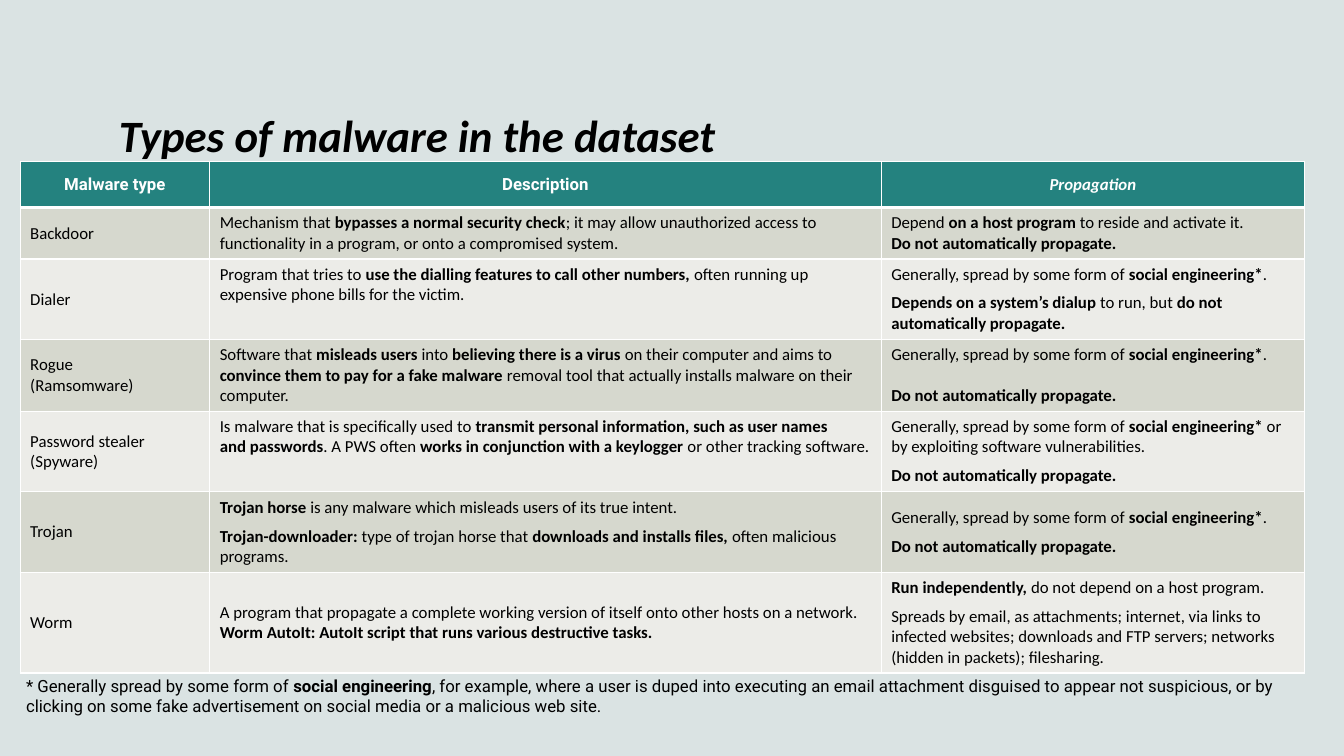
from dataclasses import dataclass
from typing import Any

import lxml.etree
import pptx
import pptx.dml.color
import pptx.enum.text
import pptx.oxml.ns
import pptx.util

Inches = pptx.util.Inches
Pt = pptx.util.Pt
ANCHOR = pptx.enum.text.MSO_ANCHOR
ALIGN = pptx.enum.text.PP_ALIGN


@dataclass(frozen=True)
class Theme:
    """Colours, fonts and type sizes."""
    back: str = "DAE3E3"
    head: str = "24827F"
    bands: tuple[str, str] = ("D6D8CE", "ECECE8")
    ink: str = "000000"
    light: str = "FFFFFF"
    main: str = "Calibri"
    alt: str = "Roboto"
    big: int = 32
    small: int = 12


@dataclass(frozen=True)
class Entry:
    """Text of one cell; bars switch bold on and off, gap is in points."""
    lines: tuple[str, ...]
    gap: float = 0
    mid: bool = True


@dataclass(frozen=True)
class Threat:
    """One table row."""
    name: Entry
    about: Entry
    spread: Entry
    high: float


THEME = Theme()
SOCIAL = "Generally, spread by some form of |social engineering*|"
MANUAL = "|Do not automatically propagate.|"
COLS = (1.88, 6.66, 4.2)
HEADS = (("Malware type", THEME.alt, False), ("Description", THEME.alt, False),
         ("Propagation", THEME.main, True))
HEAD_HIGH = 0.46
THREATS = (
    Threat(Entry(("Backdoor",)),
           Entry(("Mechanism that |bypasses a normal security check|; it may allow unauthorized "
                  "access to functionality in a program, or onto a compromised system.",), mid=False),
           Entry(("Depend |on a host program |to reside and activate it.", MANUAL)), 0.51),
    Threat(Entry(("Dialer",)),
           Entry(("Program that tries to |use the dialling features to call other numbers, |often "
                  "running up expensive phone bills for the victim.",), mid=False),
           Entry((SOCIAL + ".", "|Depends on a system’s dialup |to run, but |do not "
                  "automatically propagate.|"), 6, False), 0.8),
    Threat(Entry(("Rogue", "(Ramsomware)")),
           Entry(("Software\u00a0that |misleads users |into |believing there is a\u00a0virus\u00a0|on "
                  "their computer and aims to |convince them to pay for a fake malware\u00a0|removal "
                  "tool that actually installs malware on their computer.",), mid=False),
           Entry((SOCIAL + ".", MANUAL), 14.6, False), 0.71),
    Threat(Entry(("Password stealer (Spyware)",)),
           Entry(("Is malware that is specifically used to |transmit personal information, such as "
                  "user names and\u00a0passwords|. A PWS often |works in conjunction with a "
                  "keylogger |or other tracking software.",), mid=False),
           Entry((SOCIAL + " or by exploiting software vulnerabilities.", MANUAL), 6, False), 0.8),
    Threat(Entry(("Trojan",)),
           Entry(("|Trojan horse |is any\u00a0malware\u00a0which misleads users of its true intent.",
                  "|Trojan-downloader: |type of trojan horse that |downloads and installs files, "
                  "|often malicious programs."), 6),
           Entry((SOCIAL + ".", MANUAL), 6), 0.8),
    Threat(Entry(("Worm",)),
           Entry(("A program that propagate a complete working version of itself onto other hosts "
                  "on a network.",
                  "|Worm AutoIt: AutoIt script that runs various destructive tasks.|")),
           Entry(("|Run independently, |do not depend on a host program.",
                  "Spreads by email, as attachments; internet, via links to infected websites; "
                  "downloads and FTP servers; networks (hidden in packets); filesharing."), 6), 0.99),
)
NOTE = ("* Generally spread by some form of |social engineering|, for example, where a user is duped "
        "into executing an email\u00a0attachment disguised to appear not suspicious, or by clicking "
        "on some fake advertisement on social media or a malicious web site.")


def tint(code: str) -> pptx.dml.color.RGBColor:
    """Turn a hex code into a colour."""
    return pptx.dml.color.RGBColor.from_string(code)


def style(font: Any, face: str, size: int, color: str, bold: bool, slant: bool = False) -> None:
    """Set every trait of a font."""
    font.name, font.size = face, Pt(size)
    font.bold, font.italic = bold, slant
    font.color.rgb = tint(color)


def write(frame: Any, entry: Entry, face: str) -> None:
    """Fill a text frame with lines of plain and bold runs."""
    frame.text = "\n" * (len(entry.lines) - 1)
    for part, line in zip(frame.paragraphs, entry.lines):
        for index, words in enumerate(line.split("|")):
            if words:
                run = part.add_run()
                run.text = words
                style(run.font, face, THEME.small, THEME.ink, index % 2 == 1)
    for part in frame.paragraphs[:-1]:
        part.space_after = Pt(entry.gap)


def dress(cell: Any, fill: str, top: float = 1, base: float = 1) -> None:
    """Give a cell its fill and white borders."""
    cell.fill.solid()
    cell.fill.fore_color.rgb = tint(fill)
    props = cell._tc.get_or_add_tcPr()
    qn = pptx.oxml.ns.qn
    for index, (side, width) in enumerate((("L", 1), ("R", 1), ("T", top), ("B", base))):
        edge = lxml.etree.Element(qn(f"a:ln{side}"), w=str(Pt(width)))
        solid = lxml.etree.SubElement(edge, qn("a:solidFill"))
        lxml.etree.SubElement(solid, qn("a:srgbClr"), val=THEME.light)
        props.insert(index, edge)


def add_title(slide: Any) -> None:
    """Place and format the title."""
    title = slide.shapes.title
    title.left, title.top = Inches(1.08), Inches(0.43)
    title.width, title.height = Inches(11.17), Inches(1.22)
    frame = title.text_frame
    frame.text = "Types of malware in the dataset"
    frame.auto_size = pptx.enum.text.MSO_AUTO_SIZE.NONE
    frame.vertical_anchor = ANCHOR.BOTTOM
    frame.paragraphs[0].alignment = ALIGN.LEFT
    style(frame.paragraphs[0].runs[0].font, THEME.main, THEME.big, THEME.ink, True, True)


def add_grid(slide: Any) -> None:
    """Draw the table of threats."""
    highs = [HEAD_HIGH] + [threat.high for threat in THREATS]
    grid = slide.shapes.add_table(len(highs), len(COLS), Inches(0.2), Inches(1.6),
                                  Inches(sum(COLS)), Inches(sum(highs))).table
    for col, width in zip(grid.columns, COLS):
        col.width = Inches(width)
    for row, high in zip(grid.rows, highs):
        row.height = Inches(high)
    for cell, (words, face, slant) in zip(grid.rows[0].cells, HEADS):
        dress(cell, THEME.head, base=3)
        cell.vertical_anchor = ANCHOR.MIDDLE
        cell.text_frame.text = words
        part = cell.text_frame.paragraphs[0]
        part.alignment = ALIGN.CENTER
        style(part.runs[0].font, face, THEME.small, THEME.light, True, slant)
    for index, threat in enumerate(THREATS):
        cells = grid.rows[index + 1].cells
        for cell, entry in zip(cells, (threat.name, threat.about, threat.spread)):
            dress(cell, THEME.bands[index % 2], top=1 if index else 3)
            cell.vertical_anchor = ANCHOR.MIDDLE if entry.mid else ANCHOR.TOP
            write(cell.text_frame, entry, THEME.main)


def add_note(slide: Any) -> None:
    """Add the footnote below the table."""
    box = slide.shapes.add_textbox(Inches(0.16), Inches(6.65), Inches(12.73), Inches(0.5))
    box.text_frame.word_wrap = True
    write(box.text_frame, Entry((NOTE,)), THEME.alt)


def main() -> None:
    """Build and save the slide."""
    deck = pptx.Presentation()
    deck.slide_width, deck.slide_height = Inches(13.33), Inches(7.5)
    slide = deck.slides.add_slide(deck.slide_layouts.get_by_name("Title Only"))
    slide.background.fill.solid()
    slide.background.fill.fore_color.rgb = tint(THEME.back)
    add_title(slide)
    add_grid(slide)
    add_note(slide)
    deck.save("out.pptx")


main()
